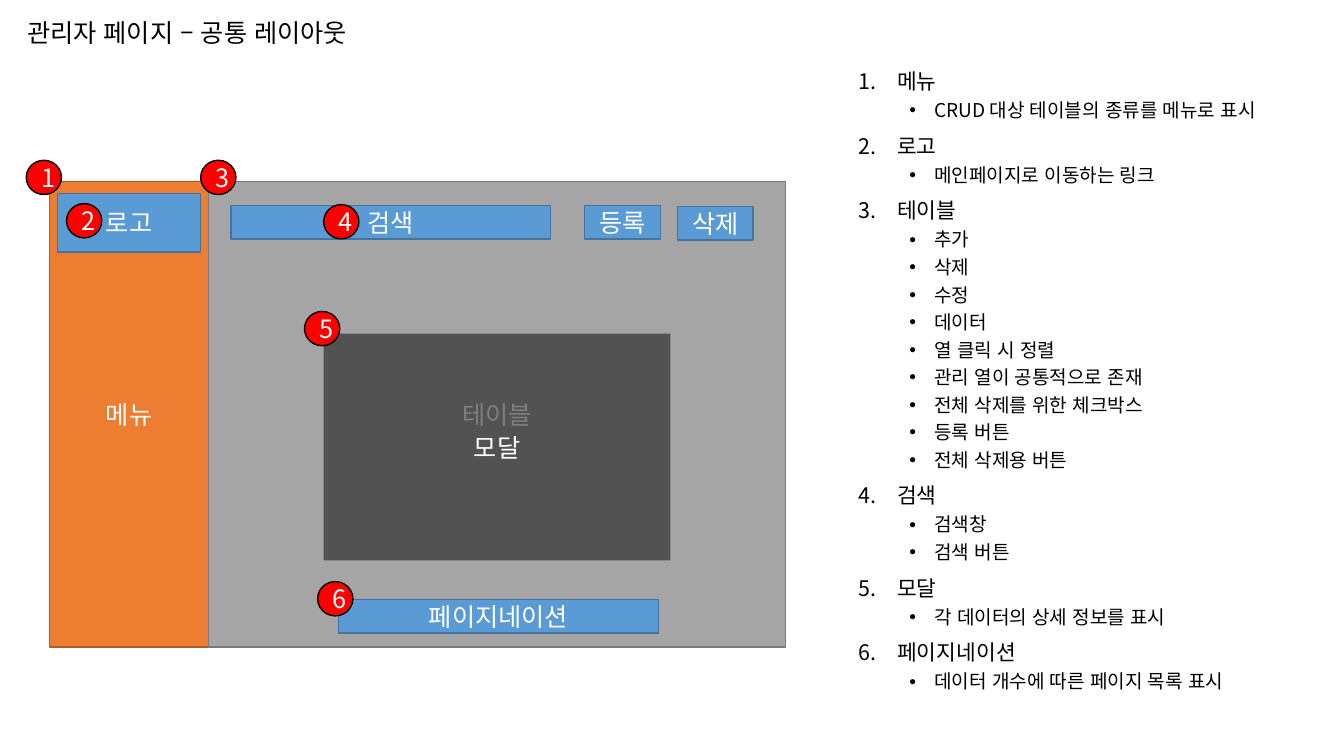
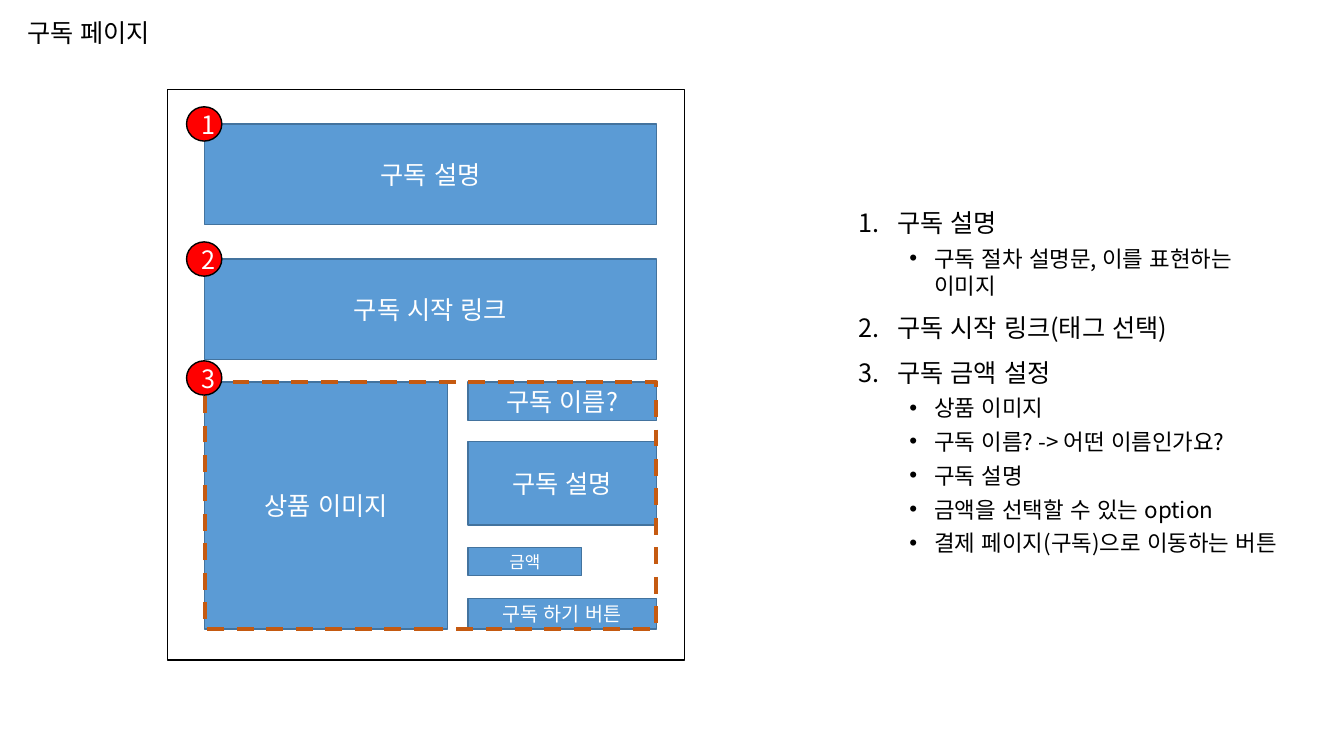
from dataclasses import dataclass
from typing import Optional

from lxml.etree import SubElement
from pptx import Presentation
from pptx.dml.color import RGBColor
from pptx.enum.dml import MSO_LINE_DASH_STYLE as Dash
from pptx.enum.shapes import MSO_SHAPE as Preset
from pptx.enum.text import MSO_ANCHOR as Anchor, PP_ALIGN as Align
from pptx.oxml.ns import qn
from pptx.util import Emu, Pt

EMU_PER_PX = 9144  # 100 px to the inch
FONT = "Noto Sans CJK KR"
BLACK, WHITE = "000000", "FFFFFF"
TITLE_AREA = (17, 10, 447, 48)
NOTES_AREA = (842, 51, 437, 656)
BADGE_WIDTH, BADGE_HEIGHT = 35, 34


@dataclass(frozen=True)
class Style:
    fill: Optional[str] = None
    line: Optional[str] = None
    line_width: float = 1
    dashed: bool = False
    opacity: int = 100


BLOCK = Style("5B9BD5", "43739E")
MENU = Style("ED7D31", "AF5C24")
TABLE = Style("A5A5A5", "7A7A7A")
MODAL = Style(BLACK, opacity=50)
FRAME = Style(line=BLACK)
GROUP = Style(line="C55A11", line_width=3, dashed=True)
BADGE = Style("FF0000", BLACK)


@dataclass(frozen=True)
class Box:
    left: int
    top: int
    width: int
    height: int
    text: str = ""
    style: Style = BLOCK
    size: float = 18


@dataclass(frozen=True)
class Badge:
    number: int
    left: int
    top: int


@dataclass(frozen=True)
class Topic:
    heading: str
    points: tuple[str, ...] = ()


@dataclass(frozen=True)
class NoteFormat:
    heading_size: float
    point_size: float
    line_spacing: float
    heading_gap: float = 10
    point_gap: float = 5


@dataclass(frozen=True)
class Page:
    title: str
    boxes: tuple[Box, ...]
    badges: tuple[Badge, ...]
    topics: tuple[Topic, ...]
    note_format: NoteFormat


def px(length: int) -> Emu:
    return Emu(length * EMU_PER_PX)


def color(value: str) -> RGBColor:
    return RGBColor.from_string(value)


def write(paragraph, text: str, *, size: float = 18, ink: str = BLACK,
          align=Align.LEFT, line_spacing: float = 1, space_before: float = 0) -> None:
    paragraph.alignment = align
    paragraph.line_spacing = line_spacing
    paragraph.space_before = Pt(space_before)
    run = paragraph.add_run()
    run.text = text
    run.font.size = Pt(size)
    run.font.name = FONT
    run.font.color.rgb = color(ink)
    properties = run._r.get_or_add_rPr()
    properties.set("lang", "ko-KR")
    properties.set("kern", "0")
    SubElement(properties, qn("a:ea"), typeface=FONT)


def set_bullet(paragraph, level: int) -> None:
    """Number level 0 and put a dot before level 1, with a hanging indent."""
    paragraph.level = level
    margin, hang = ((38, 38), (75, 25))[level]
    properties = paragraph._p.get_or_add_pPr()
    properties.set("marL", str(px(margin)))
    properties.set("indent", str(px(-hang)))
    if level == 0:
        SubElement(properties, qn("a:buFont"), typeface="+mj-lt")
        SubElement(properties, qn("a:buAutoNum"), type="arabicPeriod")
    else:
        SubElement(properties, qn("a:buFont"), typeface="Arial")
        SubElement(properties, qn("a:buChar"), char="•")


def add_text_frame(slide, area: tuple[int, int, int, int]):
    frame = slide.shapes.add_textbox(*map(px, area)).text_frame
    frame.word_wrap = True
    frame.vertical_anchor = Anchor.MIDDLE
    return frame


def apply_style(shape, style: Style) -> None:
    shape.shadow.inherit = False
    if style.fill:
        shape.fill.solid()
        shape.fill.fore_color.rgb = color(style.fill)
        if style.opacity < 100:
            tint = shape._element.spPr.find(qn("a:solidFill")).find(qn("a:srgbClr"))
            SubElement(tint, qn("a:alpha"), val=str(style.opacity * 1000))
    else:
        shape.fill.background()
    if style.line:
        shape.line.color.rgb = color(style.line)
        shape.line.width = Pt(style.line_width)
        if style.dashed:
            shape.line.dash_style = Dash.DASH
    else:
        shape.line.fill.background()


def draw_box(slide, box: Box, preset=Preset.RECTANGLE) -> None:
    shape = slide.shapes.add_shape(
        preset, px(box.left), px(box.top), px(box.width), px(box.height))
    apply_style(shape, box.style)
    if box.text:
        frame = shape.text_frame
        frame.vertical_anchor = Anchor.MIDDLE
        write(frame.paragraphs[0], box.text, size=box.size, ink=WHITE, align=Align.CENTER)


def draw_badge(slide, badge: Badge) -> None:
    draw_box(slide, Box(badge.left, badge.top, BADGE_WIDTH, BADGE_HEIGHT,
                        str(badge.number), BADGE), Preset.OVAL)


def draw_notes(slide, topics: tuple[Topic, ...], note_format: NoteFormat) -> None:
    frame = add_text_frame(slide, NOTES_AREA)
    lines = [(level, text) for topic in topics
             for level, text in [(0, topic.heading), *((1, point) for point in topic.points)]]
    sizes = (note_format.heading_size, note_format.point_size)
    gaps = (note_format.heading_gap, note_format.point_gap)
    for index, (level, text) in enumerate(lines):
        paragraph = frame.add_paragraph() if index else frame.paragraphs[0]
        write(paragraph, text, size=sizes[level], space_before=gaps[level],
              line_spacing=note_format.line_spacing)
        set_bullet(paragraph, level)


def draw_page(presentation, page: Page) -> None:
    slide = presentation.slides.add_slide(presentation.slide_layouts[6])
    write(add_text_frame(slide, TITLE_AREA).paragraphs[0], page.title, line_spacing=0.9)
    draw_notes(slide, page.topics, page.note_format)
    for box in page.boxes:
        draw_box(slide, box)
    for badge in page.badges:
        draw_badge(slide, badge)


ADMIN_PAGE = Page(
    title="관리자 페이지 – 공통 레이아웃",
    boxes=(
        Box(49, 180, 158, 462, "메뉴", MENU),
        Box(207, 180, 572, 462, "테이블", TABLE),
        Box(57, 192, 142, 58, "로고"),
        Box(321, 331, 344, 225, "모달", MODAL),
        Box(229, 204, 317, 33, "검색"),
        Box(580, 204, 75, 33, "등록"),
        Box(672, 205, 75, 33, "삭제"),
        Box(336, 595, 317, 33, "페이지네이션"),
    ),
    badges=(
        Badge(1, 26, 159),
        Badge(2, 66, 202),
        Badge(3, 199, 159),
        Badge(4, 321, 203),
        Badge(5, 302, 309),
        Badge(6, 315, 577),
    ),
    topics=(
        Topic("메뉴", ("CRUD 대상 테이블의 종류를 메뉴로 표시",)),
        Topic("로고", ("메인페이지로 이동하는 링크",)),
        Topic("테이블", (
            "추가", "삭제", "수정", "데이터", "열 클릭 시 정렬",
            "관리 열이 공통적으로 존재", "전체 삭제를 위한 체크박스",
            "등록 버튼", "전체 삭제용 버튼")),
        Topic("검색", ("검색창", "검색 버튼")),
        Topic("모달", ("각 데이터의 상세 정보를 표시",)),
        Topic("페이지네이션", ("데이터 개수에 따른 페이지 목록 표시",)),
    ),
    note_format=NoteFormat(15.3, 13.6, line_spacing=0.9),
)

SUBSCRIPTION_PAGE = Page(
    title="구독 페이지",
    boxes=(
        Box(203, 379, 241, 245, "상품 이미지"),
        Box(464, 379, 187, 38, "구독 이름?"),
        Box(464, 438, 187, 83, "구독 설명"),
        Box(464, 543, 113, 28, "금액", size=12),
        Box(464, 594, 187, 30, "구독 하기 버튼", size=14),
        Box(166, 89, 513, 566, style=FRAME),
        Box(203, 123, 448, 100, "구독 설명"),
        Box(203, 257, 448, 100, "구독 시작 링크"),
        Box(203, 379, 448, 245, style=GROUP),
    ),
    badges=tuple(Badge(number, 185, top)
                 for number, top in enumerate((106, 240, 358), start=1)),
    topics=(
        Topic("구독 설명", ("구독 절차 설명문, 이를 표현하는 이미지",)),
        Topic("구독 시작 링크(태그 선택)"),
        Topic("구독 금액 설정", (
            "상품 이미지", "구독 이름? -> 어떤 이름인가요?", "구독 설명",
            "금액을 선택할 수 있는 option", "결제 페이지(구독)으로 이동하는 버튼")),
    ),
    note_format=NoteFormat(18, 16, line_spacing=1),
)


def main() -> None:
    presentation = Presentation()
    presentation.slide_width, presentation.slide_height = px(1333), px(750)
    for page in (ADMIN_PAGE, SUBSCRIPTION_PAGE):
        draw_page(presentation, page)
    presentation.save("out.pptx")


if __name__ == "__main__":
    main()
